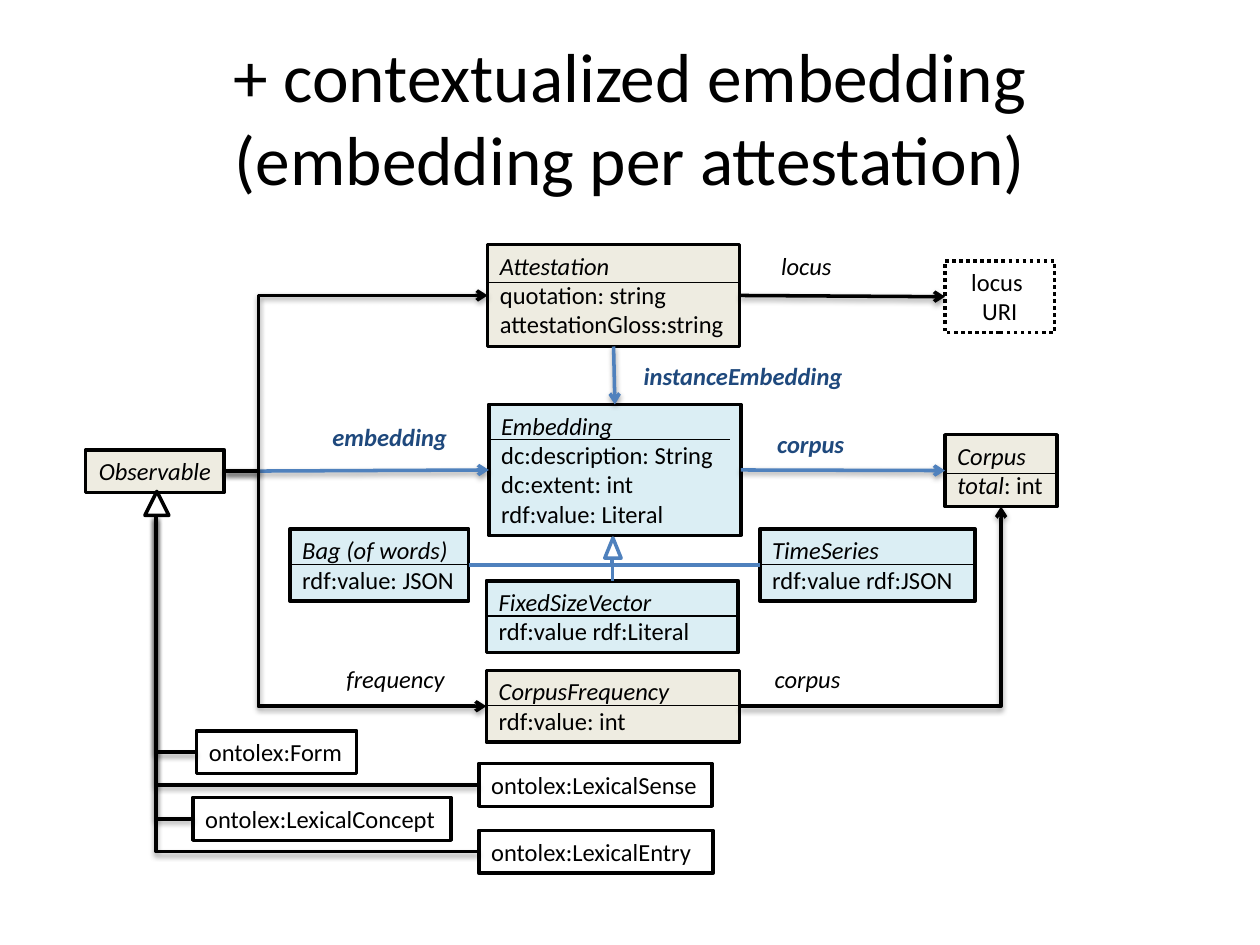
from lxml.etree import SubElement
from pptx import Presentation
from pptx.dml.color import RGBColor
from pptx.enum.dml import MSO_LINE
from pptx.enum.shapes import MSO_CONNECTOR, MSO_SHAPE
from pptx.enum.text import MSO_ANCHOR, MSO_AUTO_SIZE, PP_ALIGN
from pptx.oxml import parse_xml
from pptx.oxml.ns import nsdecls, qn
from pptx.util import Inches, Pt

BLACK = RGBColor(0x00, 0x00, 0x00)
WHITE = RGBColor(0xFF, 0xFF, 0xFF)
BEIGE = RGBColor(0xEE, 0xEC, 0xE1)
AQUA = RGBColor(0xDB, 0xEE, 0xF4)
BLUE = RGBColor(0x4F, 0x81, 0xBD)
NAVY = RGBColor(0x1F, 0x49, 0x7D)

TOP, LEFT, BOTTOM, RIGHT = range(4)
OBSERVABLE_TIP = (1.24, 4.1)
EMBEDDING_TIP = (4.86, 4.42)

# name: (left, top, width, height), fill, wrap, rows with *italic* parts
BOXES = {
    "Observable": ((0.68, 3.57, 1.1, 0.34), BEIGE, False, ["*Observable*"]),
    "Form": ((1.56, 5.8, 1.27, 0.34), WHITE, False, ["ontolex:Form"]),
    "LexicalSense": ((3.8, 6.06, 1.85, 0.34), WHITE, False, ["ontolex:LexicalSense"]),
    "LexicalConcept": ((1.53, 6.33, 2.05, 0.34), WHITE, False, ["ontolex:LexicalConcept"]),
    "LexicalEntry": ((3.8, 6.59, 1.86, 0.34), WHITE, True, ["ontolex:LexicalEntry"]),
    "CorpusFrequency": ((3.86, 5.32, 2.01, 0.57), BEIGE, True,
                        ["*CorpusFrequency*", "rdf:value: int"]),
    "Embedding": ((3.88, 3.21, 2, 1.04), AQUA, True,
                  ["*Embedding*", "dc:description: String", "dc:extent: int",
                   "rdf:value: Literal"]),
    "Attestation": ((3.87, 1.94, 2, 0.81), BEIGE, False,
                    ["*Attestation*", "quotation: string", "attestationGloss:string"]),
    "Locus": ((7.5, 2.07, 0.87, 0.57), None, True, ["locus ", "URI"]),
    "Corpus": ((7.5, 3.45, 0.89, 0.57), BEIGE, False, ["*Corpus*", "*total*: int"]),
    "TimeSeries": ((6.03, 4.2, 1.71, 0.57), AQUA, False,
                   ["*TimeSeries*", "rdf:value rdf:JSON"]),
    "FixedSizeVector": ((3.86, 4.61, 2, 0.57), AQUA, True,
                        ["*FixedSizeVector*", "rdf:value rdf:Literal"]),
    "Bag": ((2.3, 4.2, 1.42, 0.57), AQUA, False, ["*Bag (of words)*", "rdf:value: JSON"]),
}
CENTERED = ("Observable", "Locus")

DIVIDERS = [("CorpusFrequency", 5.6, 2.01), ("Embedding", 3.49, 1.91),
            ("Attestation", 2.24, 2), ("Corpus", 3.76, 0.89), ("TimeSeries", 4.48, 1.71),
            ("FixedSizeVector", 4.89, 2), ("Bag", 4.48, 1.42)]

LABELS = [("frequency", (2.65, 5.22, 0.99, 0.34), BLACK),
          ("corpus", (6.05, 5.22, 0.73, 0.34), BLACK),
          ("locus", (6.1, 1.94, 0.61, 0.34), BLACK),
          ("embedding", (2.54, 3.3, 1.12, 0.34), NAVY),
          ("corpus", (6.07, 3.36, 0.73, 0.34), NAVY),
          ("instanceEmbedding", (5.01, 2.82, 1.79, 0.34), NAVY)]

ARROWS = [("Attestation", RIGHT, "Locus", LEFT, BLACK),
          ("Observable", RIGHT, "Embedding", LEFT, BLUE),
          ("Embedding", RIGHT, "Corpus", LEFT, BLUE),
          ("Attestation", BOTTOM, "Embedding", TOP, BLUE)]


def set_attrs(obj, values):
    """Set every attribute named in a dict."""
    for name, value in values.items():
        setattr(obj, name, value)


def add_runs(p, text, size, color=BLACK, bold=False):
    """Fill a paragraph, with the parts between asterisks in italics."""
    for i, part in enumerate(text.split("*")):
        if part:
            r = p.add_run()
            r.text = part
            set_attrs(r.font, {"name": "Calibri", "size": Pt(size), "bold": bold,
                               "italic": i % 2 == 1})
            r.font.color.rgb = color


def style_shape(sp, fill, line):
    """Give a shape its fill and outline, without a shadow."""
    sp.shadow.inherit = False
    if fill is None:
        sp.fill.background()
    else:
        sp.fill.solid()
        sp.fill.fore_color.rgb = fill
    sp.line.color.rgb = line
    sp.line.width = Pt(2)


def add_box(slide, name):
    """Add one class box with its rows of text."""
    at, fill, wrap, rows = BOXES[name]
    sp = slide.shapes.add_shape(MSO_SHAPE.RECTANGLE, *map(Inches, at))
    style_shape(sp, fill, BLACK)
    tf = sp.text_frame
    set_attrs(tf, {"word_wrap": wrap, "auto_size": MSO_AUTO_SIZE.SHAPE_TO_FIT_TEXT,
                   "vertical_anchor": MSO_ANCHOR.TOP})
    for i, row in enumerate(rows):
        p = tf.add_paragraph() if i else tf.paragraphs[0]
        p.alignment = PP_ALIGN.CENTER if name in CENTERED else PP_ALIGN.LEFT
        add_runs(p, row, 14)
    return sp


def add_label(slide, text, at, color):
    """Add the italic name of a relation."""
    tf = slide.shapes.add_textbox(*map(Inches, at)).text_frame
    set_attrs(tf, {"word_wrap": False, "auto_size": MSO_AUTO_SIZE.SHAPE_TO_FIT_TEXT})
    add_runs(tf.paragraphs[0], f"*{text}*", 14, color, color == NAVY)


def add_title(slide, text):
    """Add the centred slide title."""
    tf = slide.shapes.add_textbox(*map(Inches, (0.5, 0.3, 9, 1.25))).text_frame
    set_attrs(tf, {"word_wrap": True, "vertical_anchor": MSO_ANCHOR.MIDDLE})
    p = tf.paragraphs[0]
    p.alignment = PP_ALIGN.CENTER
    add_runs(p, text, 39.6)


def add_triangle(slide, at, line):
    """Add a hollow inheritance arrowhead."""
    sp = slide.shapes.add_shape(MSO_SHAPE.ISOSCELES_TRIANGLE, *map(Inches, at))
    style_shape(sp, WHITE, line)


def side(name, site):
    """Return the middle of one side of a box."""
    x, y, w, h = BOXES[name][0]
    return [(x + w / 2, y), (x, y + h / 2), (x + w / 2, y + h), (x + w, y + h / 2)][site]


def add_line(slide, start, end, color=BLACK, width=2, arrow=False, shadow=False,
             preset="line", bend=None):
    """Add a straight or bent connector between two points."""
    kind = MSO_CONNECTOR.STRAIGHT if preset == "line" else MSO_CONNECTOR.ELBOW
    cxn = slide.shapes.add_connector(kind, *map(Inches, (*start, *end)))
    cxn.line.color.rgb = color
    cxn.line.width = Pt(width)
    sp_pr = cxn._element.spPr
    geom = sp_pr.find(qn("a:prstGeom"))
    geom.set("prst", preset)
    if bend is not None:
        SubElement(geom.find(qn("a:avLst")), qn("a:gd"), name="adj1",
                   fmla=f"val {round(bend * 100000)}")
    if arrow:
        SubElement(sp_pr.find(qn("a:ln")), qn("a:tailEnd"), type="arrow")
    effect = ('<a:outerShdw blurRad="40000" dist="20000" dir="5400000" rotWithShape="0">'
              '<a:srgbClr val="000000"><a:alpha val="38000"/></a:srgbClr></a:outerShdw>')
    sp_pr.append(parse_xml(f'<a:effectLst {nsdecls("a")}>{effect if shadow else ""}'
                           '</a:effectLst>'))
    return cxn


def main():
    """Build the slide and save it."""
    prs = Presentation()
    prs.slide_width, prs.slide_height = Inches(10), Inches(7.5)
    slide = prs.slides.add_slide(prs.slide_layouts[6])
    add_title(slide, "+ contextualized embedding (embedding per attestation)")
    boxes = {name: add_box(slide, name) for name in BOXES}
    boxes["Locus"].line.dash_style = MSO_LINE.ROUND_DOT
    for name, y, length in DIVIDERS:
        x = BOXES[name][0][0]
        add_line(slide, (x, y), (x + length, y), width=0.75)

    add_triangle(slide, (1.15, 3.9, 0.19, 0.19), BLACK)
    for name in ("Form", "LexicalSense", "LexicalConcept", "LexicalEntry"):
        add_line(slide, side(name, LEFT), OBSERVABLE_TIP, shadow=True,
                 preset="bentConnector2")
    for name, site in (("TimeSeries", LEFT), ("Bag", RIGHT)):
        add_line(slide, side(name, site), EMBEDDING_TIP, BLUE, preset="bentConnector2")
    stem = add_line(slide, side("FixedSizeVector", TOP), (4.86, 4.27), BLUE)
    stem.begin_connect(boxes["FixedSizeVector"], TOP)
    add_triangle(slide, (4.8, 4.27, 0.13, 0.16), BLUE)

    for start, start_site, end, end_site, color in ARROWS:
        cxn = add_line(slide, side(start, start_site), side(end, end_site), color,
                       arrow=True, shadow=True)
        cxn.begin_connect(boxes[start], start_site)
        cxn.end_connect(boxes[end], end_site)
    for name in ("Attestation", "CorpusFrequency"):
        add_line(slide, side("Observable", RIGHT), side(name, LEFT), arrow=True,
                 shadow=True, preset="bentConnector3", bend=0.13)
    add_line(slide, side("CorpusFrequency", RIGHT), side("Corpus", BOTTOM), arrow=True,
             shadow=True, preset="bentConnector2")
    for label in LABELS:
        add_label(slide, *label)
    prs.save("out.pptx")


if __name__ == "__main__":
    main()
